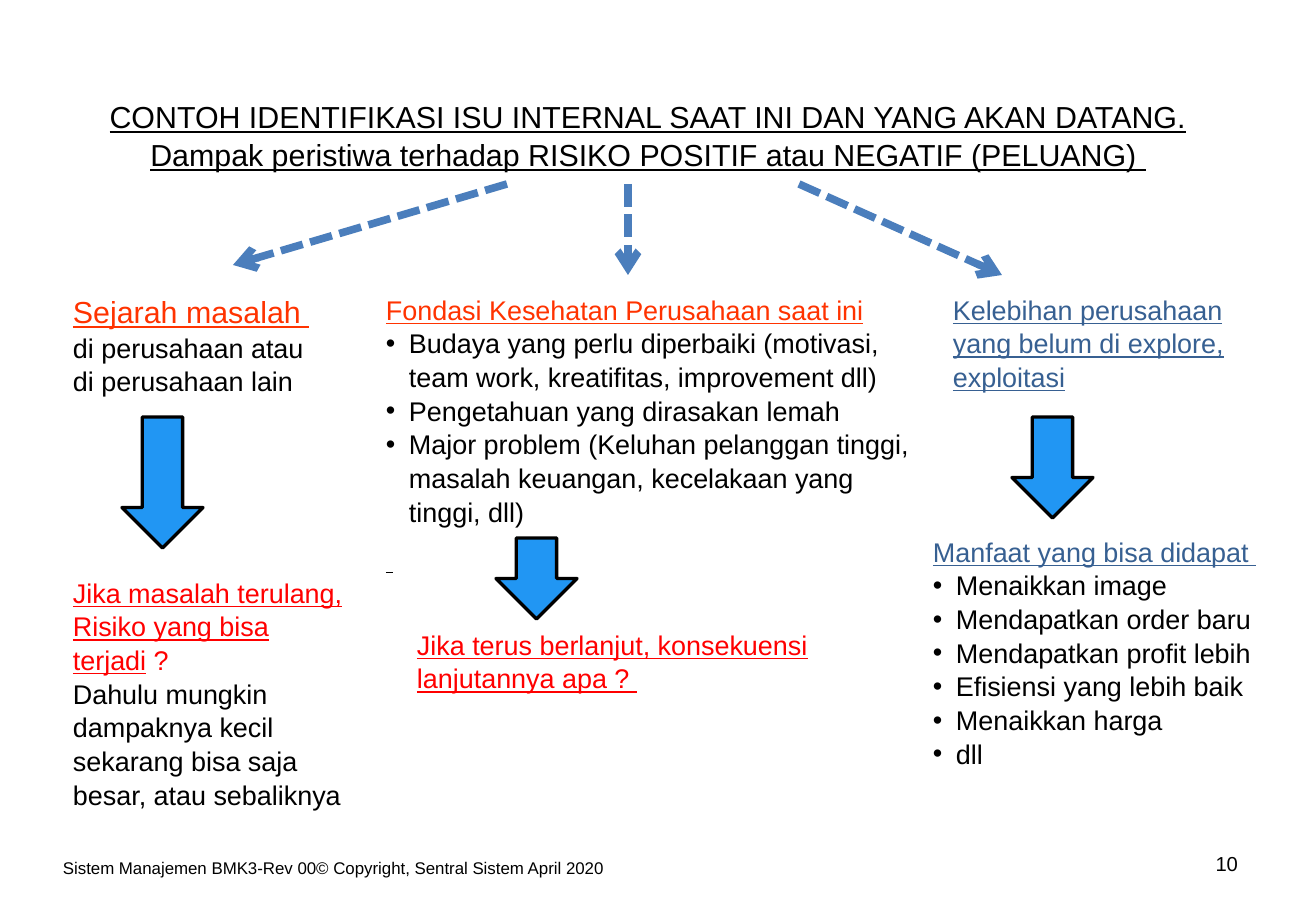
"""Build a slide on identifying internal issues and their risks or opportunities."""
from lxml import etree
from pptx import Presentation
from pptx.dml.color import RGBColor
from pptx.enum.dml import MSO_LINE
from pptx.enum.shapes import MSO_CONNECTOR, MSO_SHAPE
from pptx.enum.text import MSO_ANCHOR, MSO_AUTO_SIZE, PP_ALIGN
from pptx.oxml.ns import qn
from pptx.util import Pt

PX = 7526
BLACK = RGBColor(0x00, 0x00, 0x00)
ORANGE = RGBColor(0xFF, 0x33, 0x00)
RED = RGBColor(0xFF, 0x00, 0x00)
NAVY = RGBColor(0x37, 0x60, 0x92)
STEEL = RGBColor(0x4B, 0x7E, 0xBC)
BLUE = RGBColor(0x21, 0x96, 0xF3)
LEFT, CENTER, RIGHT = PP_ALIGN.LEFT, PP_ALIGN.CENTER, PP_ALIGN.RIGHT
DOWN_ARROW = MSO_SHAPE.DOWN_ARROW
STRAIGHT = MSO_CONNECTOR.STRAIGHT
DASH = MSO_LINE.SQUARE_DOT


def add_text(tf, text, size=16, color=BLACK, underline=False, bullet=False,
             align=LEFT, before=0, same=False):
    """Add a paragraph, or a run in the same paragraph."""
    p = tf.paragraphs[-1]
    if p.runs and not same:
        p = tf.add_paragraph()
    if bullet:
        pPr = p._p.get_or_add_pPr()
        pPr.set("marL", str(23 * PX))
        pPr.set("indent", str(-23 * PX))
        etree.SubElement(pPr, qn("a:buFont")).set("typeface", "Arial")
        etree.SubElement(pPr, qn("a:buChar")).set("char", "•")
    p.alignment = align
    p.line_spacing = 1.04
    p.space_before = Pt(before)
    r = p.add_run()
    r.text = text
    r.font.name = "Arial"
    r.font.size = Pt(size)
    r.font.color.rgb = color
    r.font.underline = underline


prs = Presentation()
prs.slide_width, prs.slide_height = 1316 * PX, 911 * PX
s = prs.slides.add_slide(prs.slide_layouts[5])

title = s.shapes.title
title.left, title.top, title.width, title.height = 81 * PX, 92 * PX, 1134 * PX, 86 * PX
tf = title.text_frame
tf.auto_size = MSO_AUTO_SIZE.NONE
tf.vertical_anchor = MSO_ANCHOR.MIDDLE
add_text(tf, "CONTOH IDENTIFIKASI ISU INTERNAL SAAT INI DAN YANG AKAN DATANG. "
         "Dampak peristiwa terhadap RISIKO POSITIF atau NEGATIF (PELUANG) ",
         size=18, underline=True, align=CENTER)

heading = {"underline": True}
item = {"bullet": True}
boxes = [
    (61, 286, 304, 114, [
        ("Sejarah masalah ", {"size": 18, "color": ORANGE, **heading}),
        ("di perusahaan atau", {}),
        ("di perusahaan lain", {})]),
    (61, 569, 296, 242, [
        ("Jika masalah terulang, Risiko yang bisa terjadi", {"color": RED, **heading}),
        (" ?", {"color": RED, "same": True}),
        ("Dahulu mungkin dampaknya kecil sekarang bisa saja besar, atau sebaliknya", {})]),
    (374, 286, 548, 275, [
        ("Fondasi Kesehatan Perusahaan saat ini", {"color": ORANGE, **heading}),
        ("Budaya yang perlu diperbaiki (motivasi, team work, kreatifitas, improvement dll)", item),
        ("Pengetahuan yang dirasakan lemah", item),
        ("Major problem (Keluhan pelanggan tinggi, masalah keuangan, "
         "kecelakaan yang tinggi, dll)", item),
        (" ", {"before": 8, **heading})]),
    (405, 621, 456, 111, [
        ("Jika terus berlanjut, konsekuensi lanjutannya apa ? ", {"color": RED, **heading})]),
    (941, 286, 334, 111, [
        ("Kelebihan perusahaan yang belum di explore, exploitasi", {"color": NAVY, **heading})]),
    (921, 528, 365, 306, [
        ("Manfaat yang bisa didapat ", {"color": NAVY, **heading}),
        ("Menaikkan image", item),
        ("Mendapatkan order baru", item),
        ("Mendapatkan profit lebih", item),
        ("Efisiensi yang lebih baik", item),
        ("Menaikkan harga", item),
        ("dll", item)]),
    (51, 851, 638, 49, [
        ("Sistem Manajemen BMK3-Rev 00© Copyright, Sentral Sistem April 2020", {"size": 10})]),
    (943, 844, 307, 49, [("10", {"size": 12, "align": RIGHT})]),
]
for x, y, w, h, lines in boxes:
    tf = s.shapes.add_textbox(x * PX, y * PX, w * PX, h * PX).text_frame
    tf.word_wrap = True
    for text, fmt in lines:
        add_text(tf, text, **fmt)

for x, y, h in [(122, 417, 131), (496, 538, 81), (1012, 417, 101)]:
    sp = s.shapes.add_shape(DOWN_ARROW, x * PX, y * PX, 81 * PX, h * PX)
    sp.shadow.inherit = False
    sp.fill.solid()
    sp.fill.fore_color.rgb = BLUE
    sp.line.color.rgb = BLACK
    sp.line.width = Pt(2)

for x1, x2, y2 in [(507, 233, 265), (628, 628, 275), (799, 1002, 275)]:
    cn = s.shapes.add_connector(STRAIGHT, x1 * PX, 184 * PX, x2 * PX, y2 * PX)
    cn.line.color.rgb = STEEL
    cn.line.width = Pt(4.5)
    cn.line.dash_style = DASH
    etree.SubElement(cn.line._get_or_add_ln(), qn("a:tailEnd")).set("type", "arrow")
    etree.SubElement(cn._element.spPr, qn("a:effectLst"))

prs.save("out.pptx")
